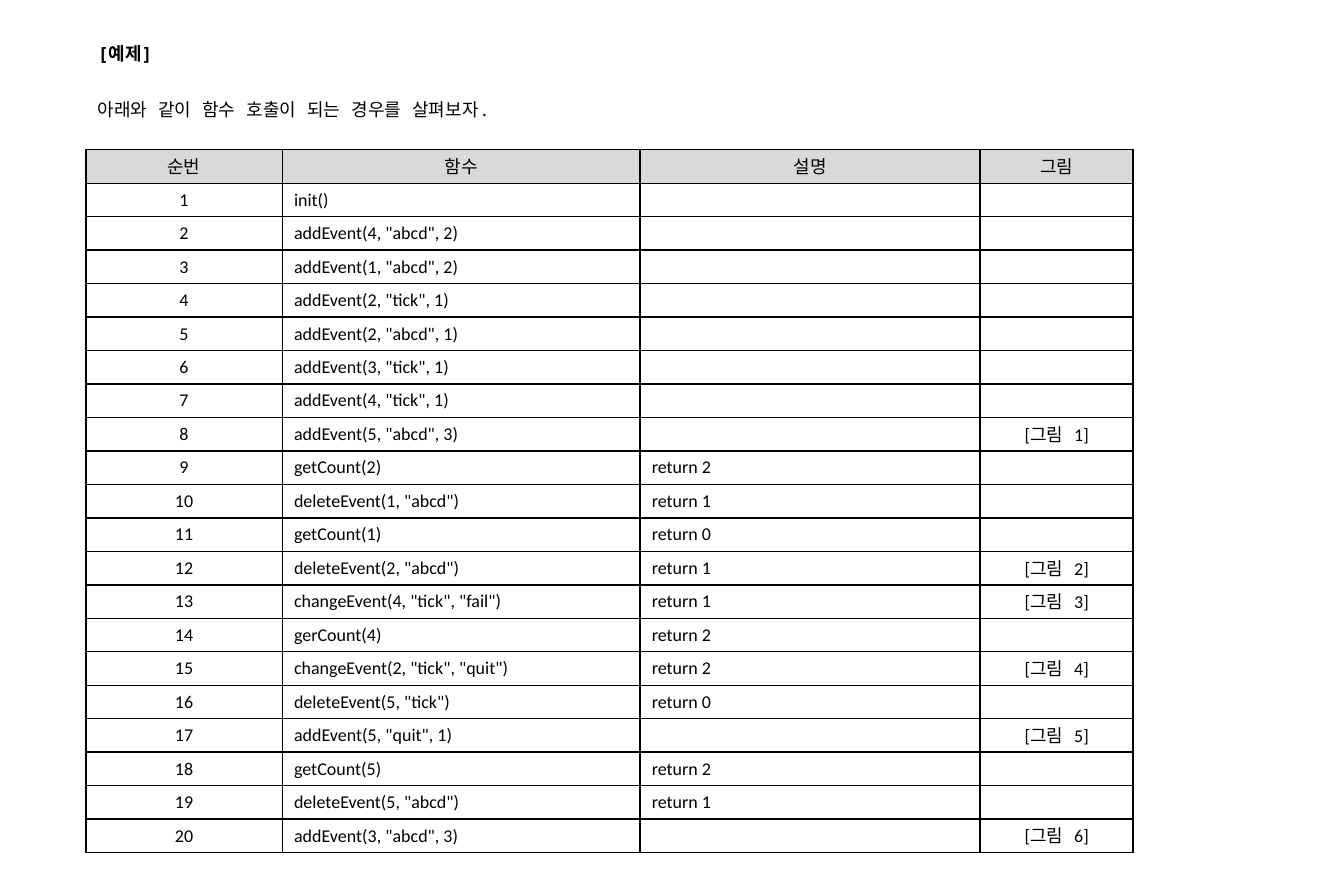
"""Build the slide that lists example function calls in a table."""
from dataclasses import dataclass
from typing import NamedTuple

from lxml import etree
from pptx import Presentation
from pptx.dml.color import RGBColor
from pptx.enum.text import MSO_ANCHOR, MSO_AUTO_SIZE, PP_ALIGN
from pptx.oxml.ns import qn
from pptx.util import Pt

LEFT, CENTER = PP_ALIGN.LEFT, PP_ALIGN.CENTER
TOP, MIDDLE = MSO_ANCHOR.TOP, MSO_ANCHOR.MIDDLE
NO_AUTOFIT = MSO_AUTO_SIZE.NONE


@dataclass(frozen=True)
class Theme:
    ink: str = "000000"
    header_fill: str = "D9D9D9"
    korean_font: str = "Noto Sans Mono"
    latin_font: str = "Calibri"
    text_size: float = 11
    line_spacing: float = 1.3
    border_width: float = 1


class Box(NamedTuple):
    left: float
    top: float
    width: float
    height: float


class Column(NamedTuple):
    heading: str
    width: float
    alignment: PP_ALIGN


class Call(NamedTuple):
    function: str
    result: str = ""
    figure: str = ""


THEME = Theme()
TITLE_BOX = Box(52.5, 18.7, 262, 25)
INTRO_BOX = Box(52.5, 53, 262, 25)
TABLE_BOX = Box(52.5, 91.6, 640.8, 429.87)
COLUMNS = [
    Column("순번", 120.2, CENTER),
    Column("함수", 218.9, LEFT),
    Column("설명", 208.1, LEFT),
    Column("그림", 93.6, CENTER),
]
CALLS = [
    Call("init()"),
    Call('addEvent(4, "abcd", 2)'),
    Call('addEvent(1, "abcd", 2)'),
    Call('addEvent(2, "tick", 1)'),
    Call('addEvent(2, "abcd", 1)'),
    Call('addEvent(3, "tick", 1)'),
    Call('addEvent(4, "tick", 1)'),
    Call('addEvent(5, "abcd", 3)', figure="[그림 1]"),
    Call("getCount(2)", "return 2"),
    Call('deleteEvent(1, "abcd")', "return 1"),
    Call("getCount(1)", "return 0"),
    Call('deleteEvent(2, "abcd")', "return 1", "[그림 2]"),
    Call('changeEvent(4, "tick", "fail")', "return 1", "[그림 3]"),
    Call("gerCount(4)", "return 2"),
    Call('changeEvent(2, "tick", "quit")', "return 2", "[그림 4]"),
    Call('deleteEvent(5, "tick")', "return 0"),
    Call('addEvent(5, "quit", 1)', figure="[그림 5]"),
    Call("getCount(5)", "return 2"),
    Call('deleteEvent(5, "abcd")', "return 1"),
    Call('addEvent(3, "abcd", 3)', figure="[그림 6]"),
]


def format_text(para, font_name: str, alignment: PP_ALIGN, bold: bool = False) -> None:
    """Style every run, or the end mark of an empty paragraph."""
    para.alignment = alignment
    for span in para.runs:
        span.font.size = Pt(THEME.text_size)
        span.font.bold = bold
        span.font.color.rgb = RGBColor.from_string(THEME.ink)
        span.font.name = font_name
        east_asian = etree.SubElement(span.font._element, qn("a:ea"))
        east_asian.set("typeface", THEME.korean_font)
    if not para.runs:
        end_mark = etree.SubElement(para._p, qn("a:endParaRPr"))
        end_mark.set("sz", str(int(THEME.text_size * 100)))


def place_line(shape, box: Box, text: str, bold: bool = False) -> None:
    """Place a one-line text shape above the table."""
    shape.left, shape.top, shape.width, shape.height = map(Pt, box)
    frame = shape.text_frame
    frame.text = text
    frame.word_wrap = True
    frame.auto_size = NO_AUTOFIT
    frame.vertical_anchor = TOP
    para = frame.paragraphs[0]
    para.line_spacing = THEME.line_spacing
    format_text(para, THEME.korean_font, LEFT, bold)


def add_borders(cell) -> None:
    """Draw a solid line on all four sides of a cell."""
    properties = cell._tc.get_or_add_tcPr()
    for side in ("a:lnL", "a:lnR", "a:lnT", "a:lnB"):
        line = etree.SubElement(properties, qn(side), w=str(Pt(THEME.border_width)))
        fill = etree.SubElement(line, qn("a:solidFill"))
        etree.SubElement(fill, qn("a:srgbClr"), val=THEME.ink)


def fill_cell(cell, text: str, alignment: PP_ALIGN, is_header: bool) -> None:
    """Write and format one table cell."""
    cell.text_frame.text = text
    cell.vertical_anchor = MIDDLE
    cell.margin_top = cell.margin_bottom = Pt(0)
    font_name = THEME.korean_font if is_header else THEME.latin_font
    format_text(cell.text_frame.paragraphs[0], font_name, alignment)
    add_borders(cell)
    if is_header:
        cell.fill.solid()
        cell.fill.fore_color.rgb = RGBColor.from_string(THEME.header_fill)
    else:
        cell.fill.background()


def add_call_table(page) -> None:
    """Add the table of numbered calls."""
    rows = [[column.heading for column in COLUMNS]]
    rows += [[str(number), *call] for number, call in enumerate(CALLS, 1)]
    table = page.shapes.add_table(len(rows), len(COLUMNS), *map(Pt, TABLE_BOX)).table
    table.first_row = table.horz_banding = False
    for column, grid_column in zip(COLUMNS, table.columns):
        grid_column.width = Pt(column.width)
    for row_index, texts in enumerate(rows):
        table.rows[row_index].height = Pt(TABLE_BOX.height / len(rows))
        for column_index, (column, text) in enumerate(zip(COLUMNS, texts)):
            is_header = row_index == 0
            alignment = CENTER if is_header else column.alignment
            fill_cell(table.cell(row_index, column_index), text, alignment, is_header)


def main() -> None:
    """Build and save the deck."""
    deck = Presentation()
    deck.slide_width, deck.slide_height = Pt(822.24), Pt(540)
    page = deck.slides.add_slide(deck.slide_layouts[5])
    place_line(page.shapes.title, TITLE_BOX, "[예제]", bold=True)
    intro = page.shapes.add_textbox(*map(Pt, INTRO_BOX))
    place_line(intro, INTRO_BOX, "아래와 같이 함수 호출이 되는 경우를 살펴보자.")
    add_call_table(page)
    deck.save("out.pptx")


if __name__ == "__main__":
    main()
